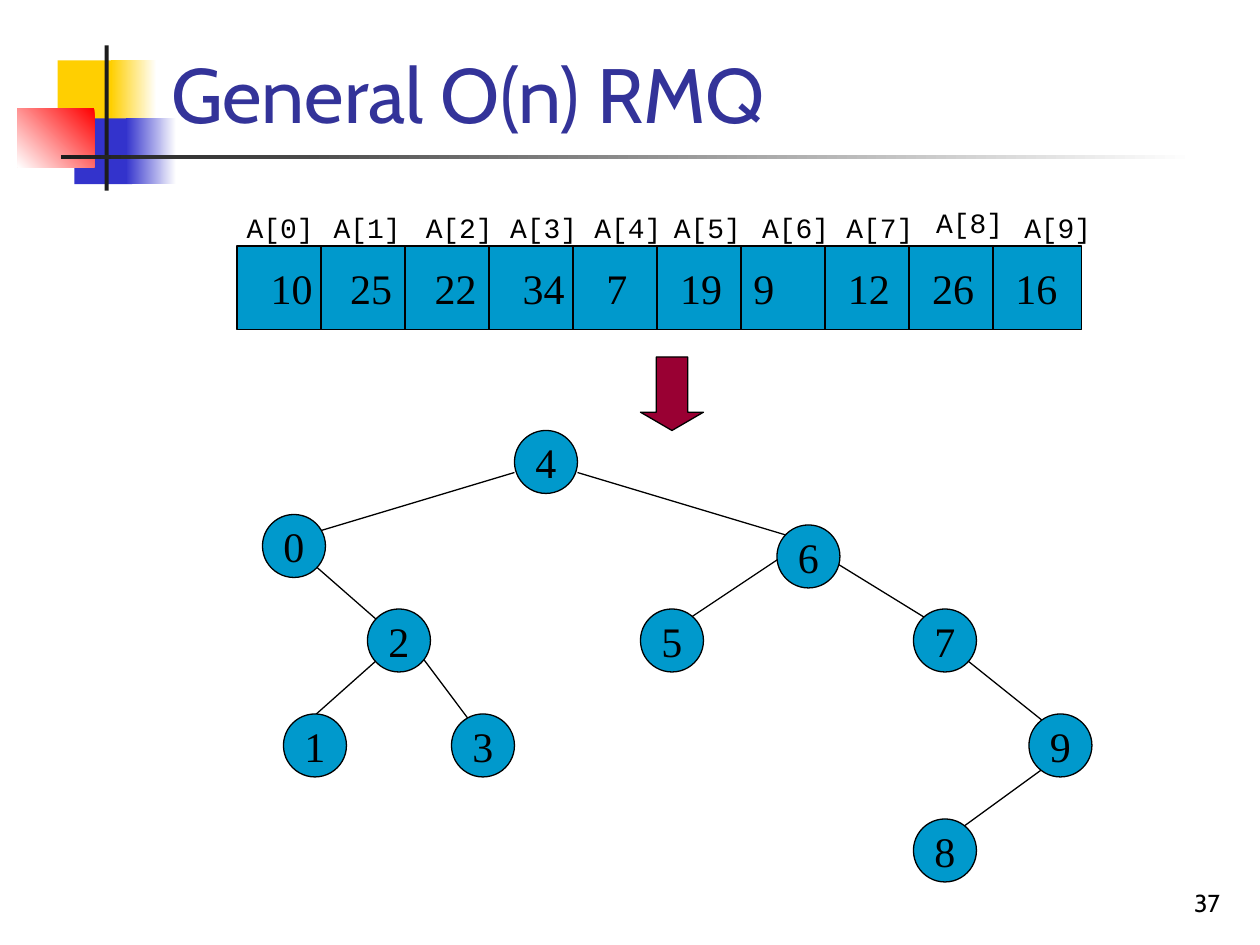
import pptx
import pptx.util
import pptx.dml.color
import pptx.enum.shapes
import pptx.enum.text
import pptx.oxml.ns
import lxml.etree

Pt = pptx.util.Pt
Kind = pptx.enum.shapes.MSO_SHAPE
Align = pptx.enum.text.PP_ALIGN
Anchor = pptx.enum.text.MSO_ANCHOR
Fit = pptx.enum.text.MSO_AUTO_SIZE
rgb = pptx.dml.color.RGBColor.from_string


class Theme:
    white, black, ink = rgb("FFFFFF"), rgb("000000"), rgb("1C1C1C")
    gold, blue, red = rgb("FFCF01"), rgb("3333CC"), rgb("FF0000")
    teal, wine = rgb("0099CC"), rgb("990033")
    rule = Pt(0.75)
    title = {"name": "Cabin", "size": Pt(44), "color": rgb("333399")}
    page = {"name": "Cabin", "size": Pt(14), "color": black}
    value = {"name": "Times New Roman", "size": Pt(24), "color": black}
    label = {"name": "Courier New", "size": Pt(16), "color": black}


deck = pptx.Presentation()
deck.slide_width, deck.slide_height = Pt(720), Pt(540)
slide = deck.slides.add_slide(deck.slide_layouts[6])
shapes = slide.shapes


def draw(kind, box, fill, edge=True):
    """Add a preset shape with a plain fill, outlined or not."""
    shape = shapes.add_shape(kind, *map(Pt, box))
    shape.shadow.inherit = False
    shape.fill.solid()
    shape.fill.fore_color.rgb = fill
    if edge:
        shape.line.color.rgb = Theme.black
        shape.line.width = Theme.rule
    else:
        shape.line.fill.background()
    return shape


def write(shape, words, style, align=Align.LEFT, **frame):
    """Put one styled line of text in a shape."""
    for key, val in frame.items():
        setattr(shape.text_frame, key, val)
    para = shape.text_frame.paragraphs[0]
    para.text, para.alignment = words, align
    font = para.runs[0].font
    for key, val in style.items():
        if key == "color":
            font.color.rgb = val
        else:
            setattr(font, key, val)


# Corner blocks and rules: box, first colour, last colour, angle
blocks = [
    ((33, 34.5, 34.5, 37.5), Theme.gold, None, 0),
    ((63.4, 34.5, 26, 37.5), Theme.white, Theme.gold, 180),
    ((42.5, 67.7, 33, 37.5), Theme.blue, None, 0),
    ((72, 67.7, 28.8, 37.5), Theme.white, Theme.blue, 180),
    ((10, 62, 44, 33.5), Theme.red, Theme.white, 225),
    ((59.8, 26, 2.25, 83), Theme.ink, None, 0),
    ((34.8, 88.6, 648, 2.25), Theme.white, Theme.ink, 180),
]
for box, first, last, angle in blocks:
    block = draw(Kind.RECTANGLE, box, first, edge=False)
    if last:
        block.fill.gradient()
        block.fill.gradient_angle = angle
        for stop, tint in zip(block.fill.gradient_stops, (first, last)):
            stop.color.rgb = tint

# Title and page number
write(shapes.add_textbox(Pt(90.7), Pt(16.6), Pt(613.4), Pt(66.2)),
      "General O(n) RMQ", Theme.title,
      word_wrap=True, vertical_anchor=Anchor.BOTTOM)
write(shapes.add_textbox(Pt(554.4), Pt(491.8), Pt(149.8), Pt(36)),
      "37", Theme.page, Align.RIGHT,
      word_wrap=True, vertical_anchor=Anchor.BOTTOM)

# Array bar and arrow
left, top, cell, high = 135.5, 140.5, 48, 48
draw(Kind.RECTANGLE, (left, top, 482.5, high), Theme.teal)
arrow = draw(Kind.DOWN_ARROW, (366, 204, 36, 42), Theme.wine)
arrow.adjustments[0], arrow.adjustments[1] = 0.5, 0.29

# Cell dividers and tree edges
lines = [(left + cell * i, top, left + cell * i, top + high)
         for i in range(1, 10)]
lines += [
    (330, 270, 450, 306), (294, 270, 174, 306), (174, 318, 222, 360),
    (228, 366, 174, 414), (234, 366, 270, 414), (456, 312, 384, 360),
    (462, 312, 540, 360), (546, 372, 606, 420), (606, 432, 540, 480),
]
for ends in lines:
    line = shapes.add_connector(
        pptx.enum.shapes.MSO_CONNECTOR.STRAIGHT, *map(Pt, ends))
    line.line.color.rgb = Theme.black
    line.line.width = Theme.rule
    lxml.etree.SubElement(line._element.spPr,
                          pptx.oxml.ns.qn("a:effectLst"))

# Array items: value, value left, label left, label top
items = [
    (10, 147.6, 133.9, 116.6), (25, 193, 183.6, 116.6),
    (22, 241.2, 236.2, 116.6), (34, 291.6, 284.4, 116.6),
    (7, 339.4, 332.6, 116.6), (19, 381.6, 378, 116.6),
    (9, 423.4, 428.4, 116.6), (12, 477.4, 476.6, 116.6),
    (26, 525.6, 527.8, 113.8), (16, 573.1, 578.2, 116.6),
]
for i, (num, x, tag, y) in enumerate(items):
    wide = 14.4 + 12 * len(str(num))
    write(shapes.add_textbox(Pt(x), Pt(146.2), Pt(wide), Pt(36)),
          str(num), Theme.value, word_wrap=False, auto_size=Fit.SHAPE_TO_FIT_TEXT)
    write(shapes.add_textbox(Pt(tag), Pt(y), Pt(52.8), Pt(26.6)),
          f"A[{i}]", Theme.label, word_wrap=False, auto_size=Fit.SHAPE_TO_FIT_TEXT)

# Tree nodes, in index order
nodes = [(150, 294), (162, 408), (210, 348), (258, 408), (294, 246),
         (366, 348), (444, 300), (522, 348), (522, 468), (588, 408)]
for i, (x, y) in enumerate(nodes):
    write(draw(Kind.OVAL, (x, y, 36, 36), Theme.teal), str(i), Theme.value,
          Align.CENTER, word_wrap=False, vertical_anchor=Anchor.MIDDLE)

deck.save("out.pptx")
